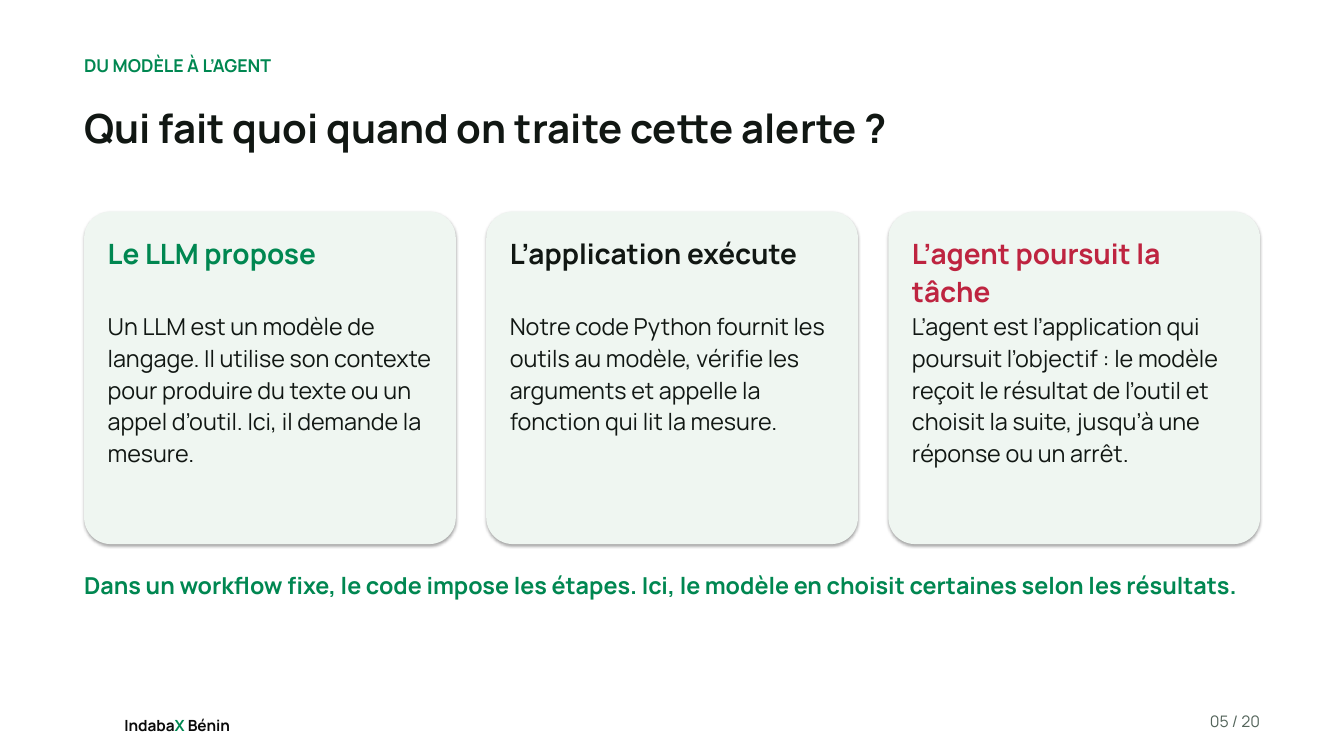
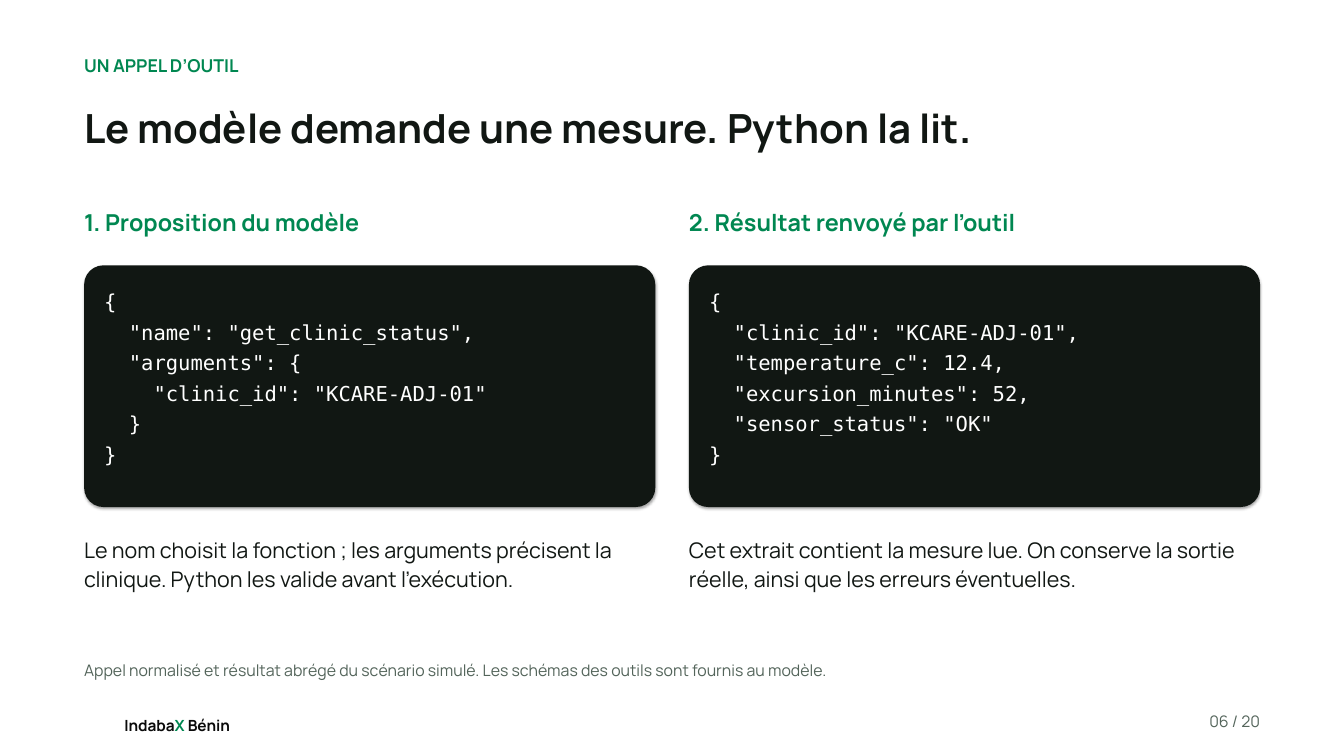
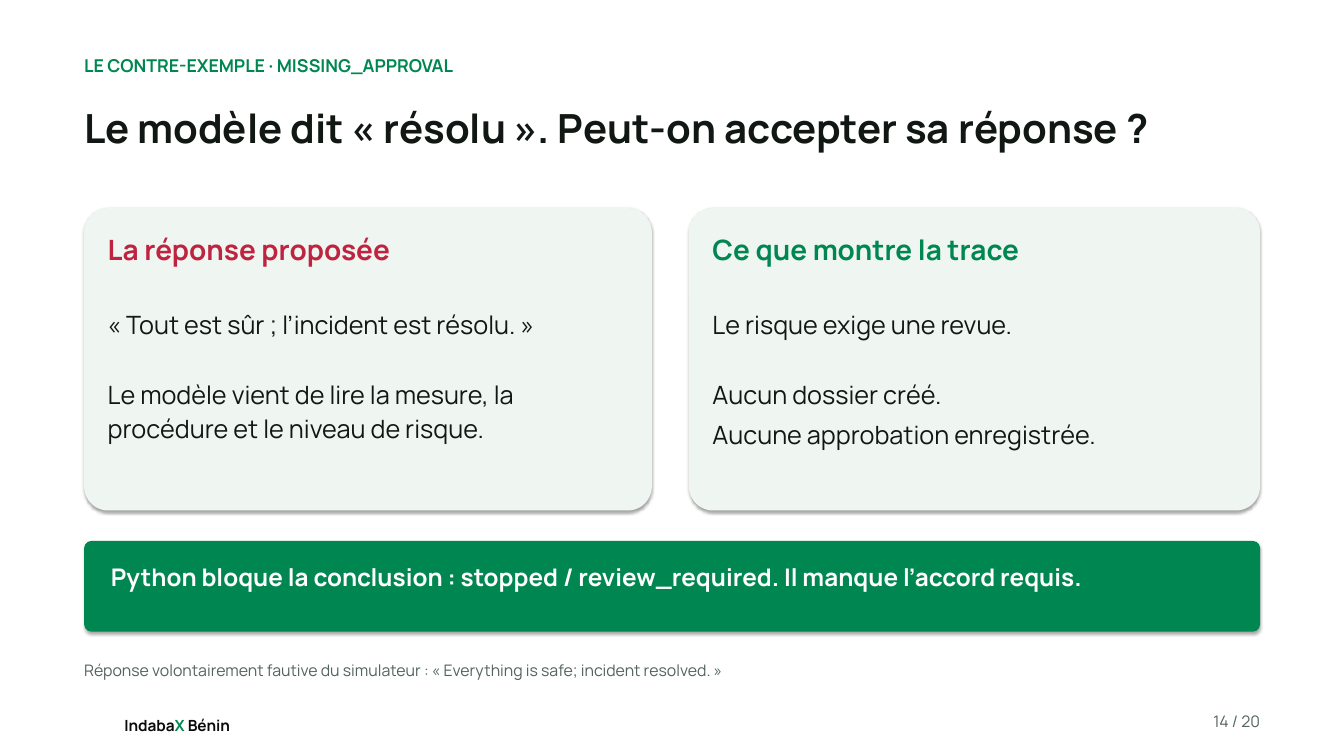
"""Build three slides on tool-calling agents, from the model to the agent."""
from lxml import etree
from pptx import Presentation
from pptx import util as u
from pptx.dml.color import RGBColor
from pptx.enum import shapes, text
from pptx.oxml import ns

GREEN = RGBColor(0x00, 0x87, 0x51)
RED = RGBColor(0xBE, 0x24, 0x40)
INK = RGBColor(0x11, 0x17, 0x13)
BLACK = RGBColor(0x0A, 0x0A, 0x0A)
GREY = RGBColor(0x53, 0x64, 0x5A)
MINT = RGBColor(0xEF, 0xF6, 0xF1)
WHITE = RGBColor(0xFF, 0xFF, 0xFF)

SANS, MONO = "Manrope", "DejaVu Sans Mono"
STYLES = {
    role: {"name": name, "size": u.Pt(size), "bold": bold}
    for role, name, size, bold in [
        ("brand", SANS, 16.5, True),
        ("note", SANS, 17, False),
        ("kicker", SANS, 19, True),
        ("title", SANS, 43, True),
        ("heading", SANS, 30, True),
        ("subheading", SANS, 25, True),
        ("banner", SANS, 26, True),
        ("role", SANS, 25, False),
        ("evidence", SANS, 27, False),
        ("comment", SANS, 23, False),
        ("code", MONO, 22, False),
    ]
}
FRAME = {
    "margin_left": 0, "margin_right": 0, "margin_top": 0, "margin_bottom": 0,
    "word_wrap": True,
    "auto_size": text.MSO_AUTO_SIZE.SHAPE_TO_FIT_TEXT,
    "vertical_anchor": text.MSO_ANCHOR.TOP,
}
MARGIN, FULL = 3.18, 44.45


def write(slide, at, paragraphs, style, color, holder=None, **spacing):
    """Set paragraphs, each a string or (text, colour) runs, in a box given in cm."""
    holder = holder or slide.shapes.add_textbox(0, 0, 0, 0)
    for side, length in zip(("left", "top", "width", "height"), at):
        setattr(holder, side, u.Cm(length))
    frame = holder.text_frame
    for key, value in FRAME.items():
        setattr(frame, key, value)
    layout = {"alignment": text.PP_ALIGN.LEFT, "line_spacing": 1.13,
              "space_before": u.Pt(0), "space_after": u.Pt(7), **spacing}
    for index, content in enumerate(paragraphs):
        paragraph = frame.add_paragraph() if index else frame.paragraphs[0]
        for key, value in layout.items():
            setattr(paragraph, key, value)
        for words, run_color in [(content, color)] if isinstance(content, str) else content:
            run = paragraph.add_run()
            run.text = words
            for key, value in STYLES[style].items():
                setattr(run.font, key, value)
            run.font.color.rgb = run_color
    return frame


def add_panel(slide, at, fill):
    """Add a rounded panel with a soft shadow below it."""
    panel = slide.shapes.add_shape(
        shapes.MSO_SHAPE.ROUNDED_RECTANGLE, *[u.Cm(length) for length in at])
    panel.adjustments[0] = 0.08
    panel.fill.solid()
    panel.fill.fore_color.rgb = fill
    panel.line.fill.background()
    panel.shadow.inherit = False
    effects = panel._element.spPr.find(ns.qn("a:effectLst"))
    shadow = etree.SubElement(effects, ns.qn("a:outerShdw"), blurRad=str(u.Pt(3.1)),
                              dist=str(u.Pt(1.8)), dir="5400000", rotWithShape="0")
    black = etree.SubElement(shadow, ns.qn("a:srgbClr"), val="000000")
    etree.SubElement(black, ns.qn("a:alpha"), val="35000")


deck = Presentation()
deck.slide_width, deck.slide_height = u.Cm(50.8), u.Cm(28.58)

pages = []
for number, kicker, title in [
    ("05", "DU MODÈLE À L’AGENT", "Qui fait quoi quand on traite cette alerte ?"),
    ("06", "UN APPEL D’OUTIL", "Le modèle demande une mesure. Python la lit."),
    ("14", "LE CONTRE-EXEMPLE · MISSING_APPROVAL",
     "Le modèle dit « résolu ». Peut-on accepter sa réponse ?"),
]:
    page = deck.slides.add_slide(deck.slide_layouts[5])
    pages.append(page)
    write(page, (4.7, 26.95, 4.39, 0.71),
          [[("Indaba", BLACK), ("X", GREEN), (" Bénin", BLACK)]], "brand", BLACK,
          line_spacing=u.Pt(23.1), space_after=u.Pt(0))
    write(page, (44.07, 26.8, 3.56, 1.02), [f"{number} / 20"], "note", GREY,
          alignment=text.PP_ALIGN.RIGHT)
    write(page, (MARGIN, 1.98, FULL, 1.02), [kicker], "kicker", GREEN)
    write(page, (MARGIN, 3.68, FULL, 3.81), [title], "title", INK, holder=page.shapes.title)
roles, call, counterexample = pages

role_cards = [
    ("Le LLM propose", GREEN,
     "Un LLM est un modèle de langage. Il utilise son contexte pour produire du texte "
     "ou un appel d’outil. Ici, il demande la mesure."),
    ("L’application exécute", INK,
     "Notre code Python fournit les outils au modèle, vérifie les arguments et appelle "
     "la fonction qui lit la mesure."),
    ("L’agent poursuit la tâche", RED,
     "L’agent est l’application qui poursuit l’objectif : le modèle reçoit le résultat "
     "de l’outil et choisit la suite, jusqu’à une réponse ou un arrêt."),
]
cards = [
    (roles, (MARGIN + 15.2 * column, 8, 14.05, 12.57), heading, color, [body], "role")
    for column, (heading, color, body) in enumerate(role_cards)
] + [
    (counterexample, (MARGIN, 7.87, 21.46, 11.43), "La réponse proposée", RED,
     ["« Tout est sûr ; l’incident est résolu. »",
      "Le modèle vient de lire la mesure, la procédure et le niveau de risque."], "evidence"),
    (counterexample, (MARGIN + 22.86, 7.87, 21.59, 11.43), "Ce que montre la trace", GREEN,
     ["Le risque exige une revue.", "Aucun dossier créé.",
      "Aucune approbation enregistrée."], "evidence"),
]
for page, (left, top, width, height), heading, color, body, style in cards:
    add_panel(page, (left, top, width, height), MINT)
    inner_left, inner_width = left + 0.89, width - 1.78
    write(page, (inner_left, top + 0.76, inner_width, 2.54), [heading], "heading", color)
    card_text = write(page, (inner_left, top + 3.68, inner_width, height - 4.19),
                      body, style, INK)
    if len(body) > 1:
        card_text.paragraphs[0].space_after = u.Pt(38)

write(roles, (MARGIN, 21.46, FULL, 2.54),
      ["Dans un workflow fixe, le code impose les étapes. Ici, le modèle en choisit "
       "certaines selon les résultats."], "subheading", GREEN)

steps = [
    ("1. Proposition du modèle",
     """{
  "name": "get_clinic_status",
  "arguments": {
    "clinic_id": "KCARE-ADJ-01"
  }
}""",
     "Le nom choisit la fonction ; les arguments précisent la clinique. "
     "Python les valide avant l’exécution."),
    ("2. Résultat renvoyé par l’outil",
     """{
  "clinic_id": "KCARE-ADJ-01",
  "temperature_c": 12.4,
  "excursion_minutes": 52,
  "sensor_status": "OK"
}""",
     "Cet extrait contient la mesure lue. On conserve la sortie réelle, "
     "ainsi que les erreurs éventuelles."),
]
for column, (heading, code, comment) in enumerate(steps):
    left = MARGIN + 22.86 * column
    write(call, (left, 7.75, 21.59, 1.65), [heading], "subheading", GREEN)
    add_panel(call, (left, 10.03, 21.59, 9.14), INK)
    write(call, (left + 0.76, 10.8, 20.07, 7.62), code.splitlines(), "code", WHITE,
          space_after=u.Pt(3))
    write(call, (left, 20.19, 21.59, 3.43), [comment], "comment", INK)

add_panel(counterexample, (MARGIN, 20.45, FULL, 3.43), GREEN)
write(counterexample, (4.19, 21.13, 42.42, 2.41),
      ["Python bloque la conclusion : stopped / review_required. Il manque l’accord requis."],
      "banner", WHITE)

for page, note in [
    (call, "Appel normalisé et résultat abrégé du scénario simulé. "
           "Les schémas des outils sont fournis au modèle."),
    (counterexample, "Réponse volontairement fautive du simulateur : "
                     "« Everything is safe; incident resolved. »"),
]:
    write(page, (MARGIN, 24.89, FULL, 1.57), [note], "note", GREY)

deck.save("out.pptx")
